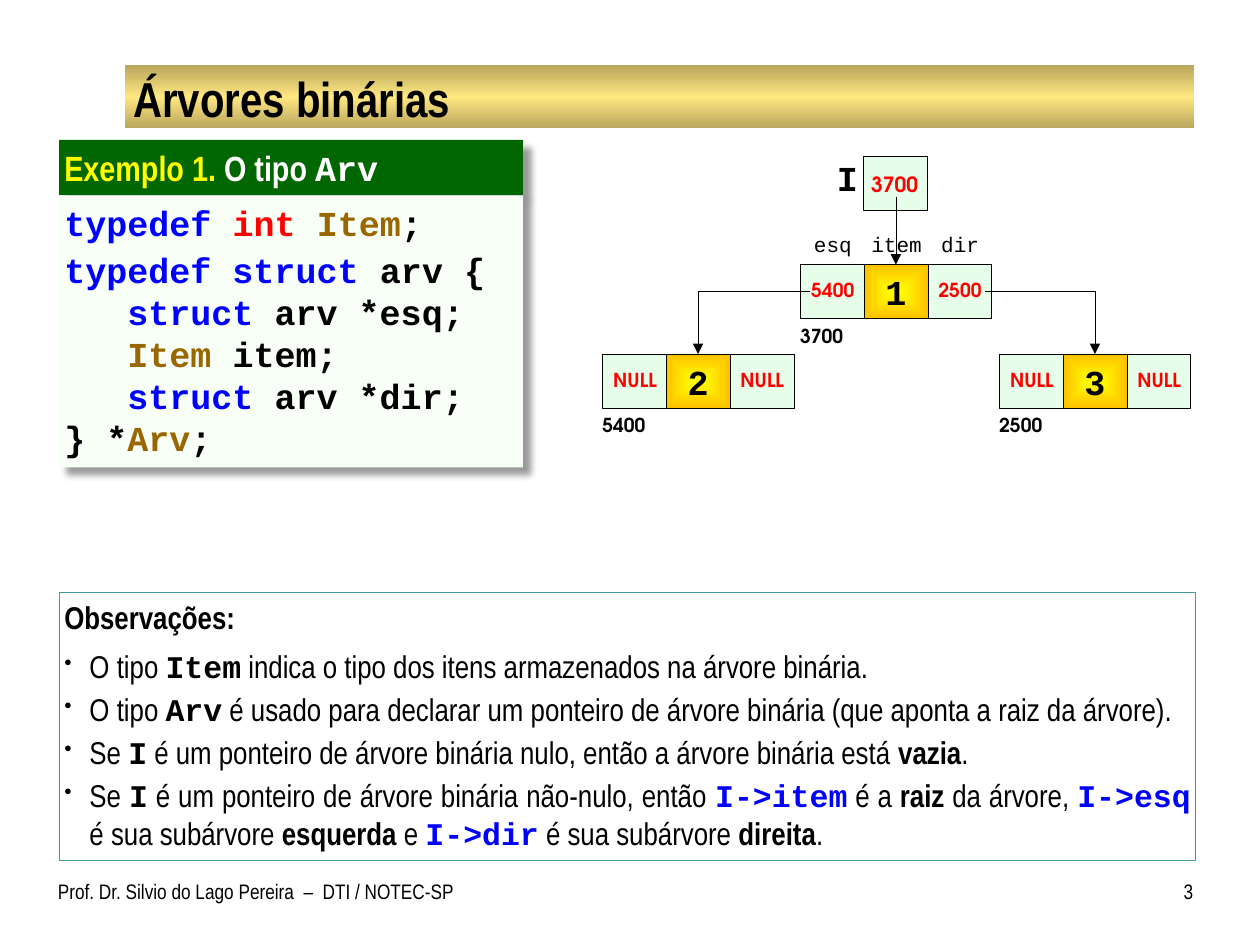
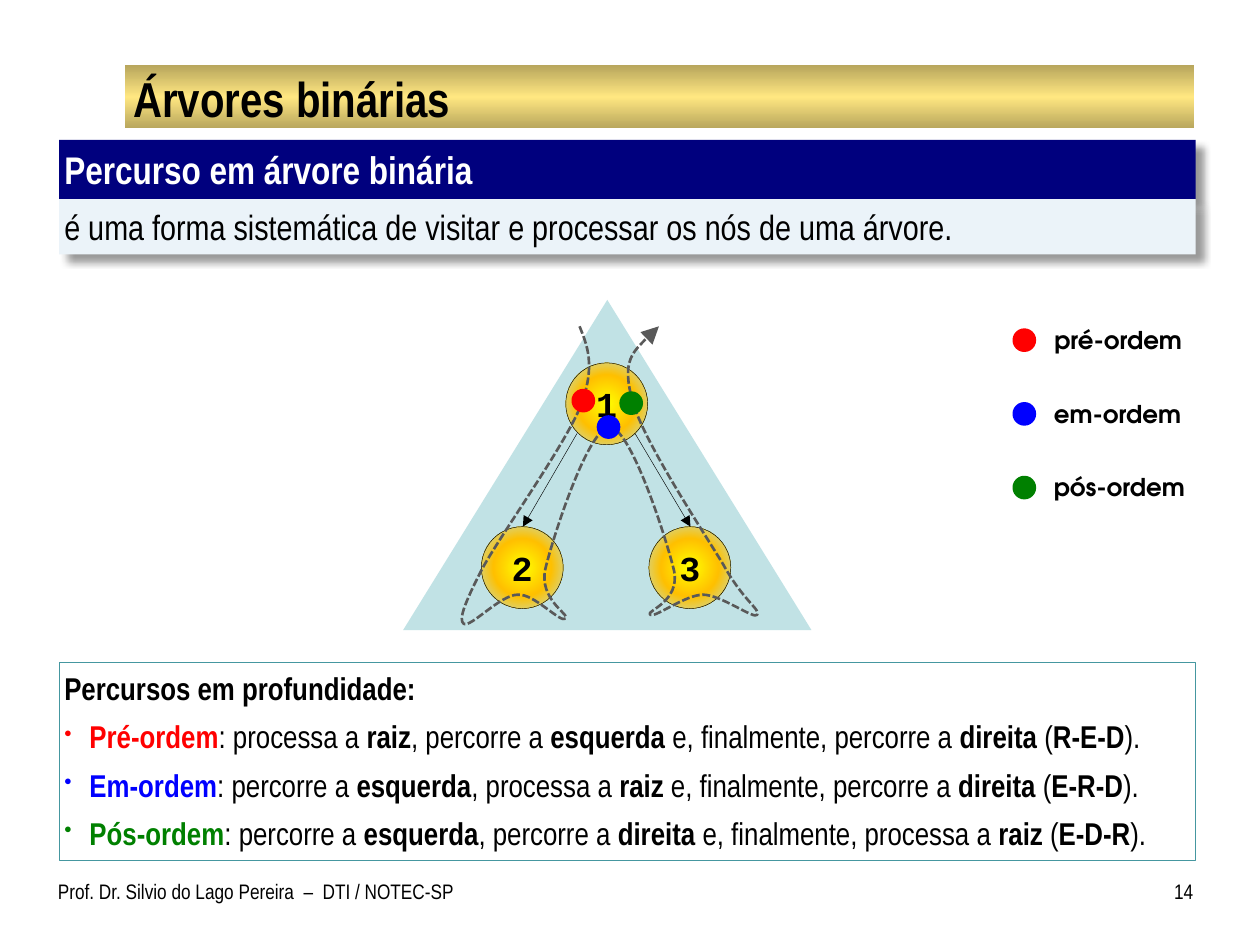
from dataclasses import dataclass
from itertools import cycle

from pptx import Presentation
from pptx.dml.color import RGBColor
from pptx.enum.dml import MSO_LINE
from pptx.enum.shapes import MSO_CONNECTOR, MSO_SHAPE
from pptx.enum.text import MSO_ANCHOR, PP_ALIGN
from pptx.oxml import parse_xml
from pptx.oxml.ns import nsdecls, qn
from pptx.util import Inches, Pt

RECTANGLE, OVAL, TRIANGLE = MSO_SHAPE.RECTANGLE, MSO_SHAPE.OVAL, MSO_SHAPE.ISOSCELES_TRIANGLE
STRAIGHT, ELBOW = MSO_CONNECTOR.STRAIGHT, MSO_CONNECTOR.ELBOW
TOP, MIDDLE = MSO_ANCHOR.TOP, MSO_ANCHOR.MIDDLE
LEFT, CENTER, RIGHT, JUSTIFY = PP_ALIGN.LEFT, PP_ALIGN.CENTER, PP_ALIGN.RIGHT, PP_ALIGN.JUSTIFY
SYS_DASH = MSO_LINE.SQUARE_DOT

BLACK = RGBColor(0x00, 0x00, 0x00)
WHITE = RGBColor(0xFF, 0xFF, 0xFF)
RED = RGBColor(0xFF, 0x00, 0x00)
BLUE = RGBColor(0x00, 0x00, 0xFF)
GREEN = RGBColor(0x00, 0x80, 0x00)
YELLOW = RGBColor(0xFF, 0xFF, 0x00)
BROWN = RGBColor(0x99, 0x66, 0x00)
AMBER = RGBColor(0xFF, 0xC0, 0x00)
GOLD_EDGE = RGBColor(0xB8, 0xA6, 0x5D)
GOLD = RGBColor(0xFF, 0xE7, 0x81)
PALE_TEAL = RGBColor(0xB8, 0xE3, 0xE6)
TRIANGLE_TEAL = RGBColor(0xBB, 0xE0, 0xE3)
FRAME_TEAL = RGBColor(0x45, 0x97, 0xA0)
CODE_HEADER = RGBColor(0x00, 0x66, 0x00)
CODE_FILL = RGBColor(0xF7, 0xFF, 0xF7)
CELL_FILL = RGBColor(0xE6, 0xFE, 0xE9)
NAVY = RGBColor(0x00, 0x00, 0x7E)
DEFINITION_FILL = RGBColor(0xEB, 0xF3, 0xF9)
TRAIL_GREY = RGBColor(0x59, 0x59, 0x59)

NARROW, MONO, ROUND = "Arial Narrow", "Courier New", "TeX Gyre Adventor"
PANEL_INSETS = (0.04, 0.05, 0.04, 0.05)
NO_INSETS = (0, 0, 0, 0)
CELL_PITCH = 0.505
BAND_GRADIENT = ([(0, GOLD_EDGE), (50, GOLD), (100, GOLD_EDGE)], None)
ITEM_GRADIENT = ([(0, YELLOW), (100, AMBER)], "shape")
NODE_GRADIENT = ([(0, YELLOW), (50, AMBER), (100, PALE_TEAL)], "circle")

TRAIL = [
    (1.40, 0.21), (1.46, 0.36), (1.53, 0.52), (1.41, 0.84), (1.28, 1.16), (0.79, 1.84), (0.63, 2.13),
    (0.48, 2.42), (0.44, 2.54), (0.48, 2.57), (0.53, 2.61), (0.77, 2.34), (0.91, 2.34),
    (1.04, 2.33), (1.25, 2.57), (1.29, 2.53), (1.33, 2.50), (1.07, 2.38), (1.13, 2.13),
    (1.19, 1.88), (1.47, 1.01), (1.64, 1.01), (1.81, 1.02), (2.09, 1.90), (2.15, 2.15),
    (2.20, 2.40), (1.92, 2.47), (1.96, 2.50), (1.99, 2.53), (2.24, 2.34), (2.38, 2.34),
    (2.52, 2.34), (2.79, 2.54), (2.81, 2.50), (2.84, 2.46), (2.70, 2.39), (2.54, 2.10),
    (2.37, 1.82), (1.90, 1.11), (1.82, 0.80), (1.73, 0.48), (1.88, 0.35), (2.03, 0.21),
]


@dataclass
class Style:
    """Character format of a run."""
    size: float
    font: str = NARROW
    color: RGBColor = BLACK
    bold: bool = False


@dataclass
class Line:
    """Paragraph made of (text, style) runs."""
    runs: list
    align: PP_ALIGN = LEFT
    before: float = 0
    indent: float = 0
    bullet: bool = False


PLAIN, STRONG = Style(18), Style(18, bold=True)
CODE, CODE_BLUE = Style(18, MONO, bold=True), Style(18, MONO, BLUE, True)
SOURCE, KEYWORD, BASIC_TYPE, USER_TYPE = (Style(20, MONO, color, True) for color in (BLACK, BLUE, RED, BROWN))
FIELD_VALUE = Style(11, ROUND, RED, True)


def write(shape, lines, insets=NO_INSETS, anchor=TOP, wrap=True):
    """Fill a shape with formatted paragraphs."""
    frame = shape.text_frame
    frame.word_wrap, frame.vertical_anchor = wrap, anchor
    frame.margin_left, frame.margin_top, frame.margin_right, frame.margin_bottom = map(Inches, insets)
    for index, line in enumerate(lines):
        paragraph = frame.add_paragraph() if index else frame.paragraphs[0]
        paragraph.alignment, paragraph.space_before = line.align, Pt(line.before)
        properties = paragraph._p.get_or_add_pPr()
        properties.set("marL", str(Inches(line.indent)))
        if line.bullet:
            properties.set("indent", str(-Inches(line.indent)))
            properties.append(parse_xml(f'<a:buSzPct {nsdecls("a")} val="69000"/>'))
            properties.append(parse_xml(f'<a:buChar {nsdecls("a")} char="•"/>'))
        for text, style in line.runs:
            run = paragraph.add_run()
            run.text = text
            run.font.name, run.font.size, run.font.bold = style.font, Pt(style.size), style.bold
            run.font.color.rgb = style.color


def add_text(slide, area, text, style, align=LEFT, **layout):
    """Add a one-line text box."""
    shape = slide.shapes.add_textbox(*map(Inches, area))
    write(shape, [Line([(text, style)], align)], **layout)


def fill_gradient(shape, stops, kind):
    """Apply a vertical gradient, or one that spreads from the centre."""
    marks = "".join(f'<a:gs pos="{place * 1000}"><a:srgbClr val="{color}"/></a:gs>' for place, color in stops)
    center = '<a:fillToRect l="50000" t="50000" r="50000" b="50000"/>'
    direction = f'<a:path path="{kind}">{center}</a:path>' if kind else '<a:lin ang="5400000" scaled="0"/>'
    shape._element.spPr.prstGeom.addnext(parse_xml(
        f'<a:gradFill {nsdecls("a")} rotWithShape="1"><a:gsLst>{marks}</a:gsLst>{direction}</a:gradFill>'))


def add_box(slide, area, fill=None, line=None, width=0.25, kind=RECTANGLE, shadow=False):
    """Add a preset shape with a plain, gradient or empty fill."""
    shape = slide.shapes.add_shape(kind, *map(Inches, area))
    if isinstance(fill, RGBColor):
        shape.fill.solid()
        shape.fill.fore_color.rgb = fill
    elif fill:
        fill_gradient(shape, *fill)
    else:
        shape.fill.background()
    if line is None:
        shape.line.fill.background()
    else:
        shape.line.color.rgb, shape.line.width = line, Pt(width)
    shape.shadow.inherit = False
    if shadow:
        shape._element.spPr.find(qn("a:effectLst")).append(parse_xml(
            f'<a:outerShdw {nsdecls("a")} blurRad="{Pt(4)}" dist="{Pt(6)}" dir="2700000" algn="tl" '
            'rotWithShape="0"><a:srgbClr val="000000"><a:alpha val="40000"/></a:srgbClr></a:outerShdw>'))
    return shape


def add_arrowhead(shape, size="med"):
    """End an outline with a triangle."""
    shape.line._get_or_add_ln().append(parse_xml(
        f'<a:tailEnd {nsdecls("a")} type="triangle" w="{size}" len="{size}"/>'))


def add_arrow(slide, start, end, kind=STRAIGHT):
    """Add a thin arrow, straight or with one bend."""
    arrow = slide.shapes.add_connector(kind, *map(Inches, (*start, *end)))
    arrow.line.color.rgb, arrow.line.width = BLACK, Pt(0.25)
    add_arrowhead(arrow)
    properties = arrow._element.spPr
    if kind == ELBOW:
        properties.prstGeom.set("prst", "bentConnector2")
    properties.append(parse_xml(f'<a:effectLst {nsdecls("a")}/>'))


def add_slide(presentation, number):
    """Add a slide with the title band and footer."""
    slide = presentation.slides.add_slide(presentation.slide_layouts[6])
    add_box(slide, (0.99, 0.52, 8.49, 0.5), BAND_GRADIENT)
    add_text(slide, (1, 0.54, 8.47, 0.47), "Árvores binárias", Style(28, bold=True),
             insets=(0.06, 0.01, 0.06, 0.01), anchor=MIDDLE)
    add_text(slide, (0.46, 6.92, 3.27, 0.42), "Prof. Dr. Silvio do Lago Pereira  –  DTI / NOTEC-SP",
             Style(12), insets=(0, 0.05, 0.1, 0.05))
    add_text(slide, (9.08, 6.92, 0.39, 0.42), str(number), Style(12), RIGHT, insets=(0.1, 0.05, 0, 0.05))
    return slide


def add_panel(slide, area, header_height, colors, header, body):
    """Add a shadowed header with a body under it."""
    left, top, width, height = area
    parts = ((top, header_height, header), (top + header_height, height - header_height, body))
    for (part_top, part_height, lines), color in zip(parts, colors):
        shape = add_box(slide, (left, part_top, width, part_height), color, shadow=True)
        write(shape, lines, PANEL_INSETS)


def add_notes_box(slide, area, heading, bullets, gaps):
    """Add a framed heading with bullets."""
    lines = [Line([(heading, STRONG)], JUSTIFY)]
    lines += [Line(runs, JUSTIFY, gap, 0.2, True) for runs, gap in zip(bullets, gaps)]
    write(slide.shapes.add_textbox(*map(Inches, area)), lines, PANEL_INSETS)
    add_box(slide, area, line=FRAME_TEAL, width=0.75)


def add_record(slide, left, top, item, values, address):
    """Add a tree record of left pointer, item and right pointer."""
    cells = [(left + column * CELL_PITCH, top, 0.51, 0.43) for column in range(3)]
    for cell, value in zip(cells[::2], values):
        add_box(slide, cell, CELL_FILL, BLACK)
        label = add_box(slide, (cell[0] + 0.07, top + 0.11, 0.38, 0.19), CELL_FILL)
        write(label, [Line([(value, FIELD_VALUE)], CENTER)], (0.02, 0, 0.02, 0), wrap=False)
    write(add_box(slide, cells[1], ITEM_GRADIENT, BLACK), [Line([(item, SOURCE)], CENTER)], anchor=MIDDLE)
    add_text(slide, (left, top + 0.45, 0.52, 0.26), address, Style(11, ROUND, bold=True),
             insets=(0, 0.02, 0, 0.03))


def add_memory_diagram(slide, left, top):
    """Draw the root pointer and three linked records."""
    add_text(slide, (left + 1.86, top, 0.17, 0.43), "I", SOURCE, CENTER, wrap=False)
    add_box(slide, (left + 2.07, top, 0.51, 0.43), CELL_FILL, BLACK)
    add_text(slide, (left + 2.13, top + 0.12, 0.4, 0.2), "3700", Style(12, ROUND, RED, True), CENTER,
             insets=(0, 0, 0.02, 0), wrap=False)
    for column, field in enumerate(("esq", "item", "dir")):
        add_text(slide, (left + 1.57 + column * CELL_PITCH, top + 0.6, 0.52, 0.26), field, Style(12, MONO), CENTER)
    add_record(slide, left + 1.57, top + 0.86, "1", ("5400", "2500"), "3700")
    add_record(slide, left, top + 1.57, "2", ("NULL", "NULL"), "5400")
    add_record(slide, left + 3.15, top + 1.57, "3", ("NULL", "NULL"), "2500")
    add_arrow(slide, (left + 2.33, top + 0.32), (left + 2.33, top + 0.86))
    add_arrow(slide, (left + 3.04, top + 1.07), (left + 3.91, top + 1.57), ELBOW)
    add_arrow(slide, (left + 1.65, top + 1.07), (left + 0.76, top + 1.57), ELBOW)


def add_dot(slide, left, top, color):
    """Add a visit mark."""
    add_box(slide, (left, top, 0.16, 0.16), color, color, 2, OVAL)


def add_trail(slide, left, top):
    """Draw the dashed walk around the tree as cubic curves."""
    start, *points = [(Inches(left + x), Inches(top + y)) for x, y in TRAIL]
    builder = slide.shapes.build_freeform(*start)
    builder.add_line_segments(points, close=False)
    trail = builder.convert_to_shape()
    segments = list(trail._element.iter(qn("a:lnTo")))
    for index in range(0, len(segments), 3):
        curve = parse_xml(f'<a:cubicBezTo {nsdecls("a")}/>')
        segments[index].addprevious(curve)
        for segment in segments[index:index + 3]:
            curve.append(segment[0])
            segment.getparent().remove(segment)
    trail.fill.background()
    trail.line.color.rgb, trail.line.width, trail.line.dash_style = TRAIL_GREY, Pt(1.5), SYS_DASH
    add_arrowhead(trail, "lg")
    trail.shadow.inherit = False


def add_traversal_tree(slide, left, top):
    """Draw the tree, the walk around it and the visit marks."""
    triangle = add_box(slide, (left, top, 3.24, 2.62), TRIANGLE_TEAL, kind=TRIANGLE)
    color = next(triangle._element.spPr.iter(qn("a:srgbClr")))
    color.append(parse_xml(f'<a:alpha {nsdecls("a")} val="91000"/>'))
    for number, x, y in (("3", 1.95, 1.8), ("2", 0.62, 1.8), ("1", 1.29, 0.5)):
        node = add_box(slide, (left + x, top + y, 0.65, 0.65), NODE_GRADIENT, BLACK, kind=OVAL)
        write(node, [Line([(number, SOURCE)], CENTER)], anchor=MIDDLE)
    for start, end in ((1.84, 2.28), (1.38, 0.95)):
        add_arrow(slide, (left + start, top + 1.06), (left + end, top + 1.8))
    add_trail(slide, left, top)
    for x, y, dot_color in ((1.35, 0.72, RED), (1.73, 0.74, GREEN), (1.55, 0.93, BLUE)):
        add_dot(slide, left + x, top + y, dot_color)


def add_legend(slide, left, top):
    """List the colour of each visiting order."""
    entries = (("pré-ordem", 1.05, RED), ("em-ordem", 1.04, BLUE), ("pós-ordem", 1.07, GREEN))
    for row, (name, width, color) in enumerate(entries):
        row_top = top + row * 0.585
        add_dot(slide, left, row_top + 0.04, color)
        add_text(slide, (left + 0.31, row_top, width, 0.24), name, Style(14, ROUND, bold=True), CENTER,
                 insets=(0, 0, 0.02, 0), wrap=False)


def alternate(*texts, strong=STRONG):
    """Pair texts with plain and strong styles in turn."""
    return list(zip(texts, cycle((PLAIN, strong))))


def build_type_slide(presentation):
    """Build the slide on the Arv type."""
    slide = add_slide(presentation, 3)
    header = [Line([("Exemplo 1.", Style(20, color=YELLOW, bold=True)), (" O tipo ", Style(20, color=WHITE, bold=True)),
                    ("Arv", Style(20, MONO, WHITE, True))])]
    body = [
        Line([("typedef ", KEYWORD), ("int ", BASIC_TYPE), ("Item", USER_TYPE), (";", SOURCE)]),
        Line([("typedef struct ", KEYWORD), ("arv {", SOURCE)], before=3),
        Line([("struct ", KEYWORD), ("arv *esq;", SOURCE)], indent=0.5),
        Line([("Item ", USER_TYPE), ("item;", SOURCE)], indent=0.5),
        Line([("struct ", KEYWORD), ("arv *dir;", SOURCE)], indent=0.5),
        Line([("} *", SOURCE), ("Arv", USER_TYPE), (";", SOURCE)]),
    ]
    add_panel(slide, (0.47, 1.11, 3.68, 2.6), 0.44, (CODE_HEADER, CODE_FILL), header, body)
    bullets = [
        alternate("O tipo ", "Item", " indica o tipo dos itens armazenados na árvore binária.", strong=CODE),
        alternate("O tipo ", "Arv", " é usado para declarar um ponteiro de árvore binária (que aponta a raiz da árvore).",
                  strong=CODE),
        alternate("Se ", "I", strong=CODE)
        + alternate(" é um ponteiro de árvore binária nulo, então a árvore binária está ", "vazia", "."),
        alternate("Se ", "I", strong=CODE)
        + alternate(" é um ponteiro de árvore binária não-nulo, então ", "I->item", strong=CODE_BLUE)
        + alternate(" é a ", "raiz") + alternate(" da árvore, ", "I->esq", strong=CODE_BLUE)
        + alternate(" é sua subárvore ", "esquerda") + alternate(" e ", "I->dir", strong=CODE_BLUE)
        + alternate(" é sua subárvore ", "direita", "."),
    ]
    add_notes_box(slide, (0.47, 4.7, 9.02, 2.13), "Observações:", bullets, (6, 3, 3, 3))
    add_memory_diagram(slide, 4.78, 1.24)


def build_traversal_slide(presentation):
    """Build the slide on depth-first traversals."""
    slide = add_slide(presentation, 14)
    header = [Line([("Percurso em árvore binária", Style(22, color=WHITE, bold=True))])]
    body = [Line([("é uma forma sistemática de visitar e processar os nós de uma árvore.", Style(20))], JUSTIFY)]
    add_panel(slide, (0.47, 1.11, 9.02, 0.91), 0.47, (NAVY, DEFINITION_FILL), header, body)
    orders = (("Pré-ordem", RED, ("raiz", "esquerda", "direita")), ("Em-ordem", BLUE, ("esquerda", "raiz", "direita")),
              ("Pós-ordem", GREEN, ("esquerda", "direita", "raiz")))
    bullets = []
    for name, color, steps in orders:
        verbs = ["processa a " if step == "raiz" else "percorre a " for step in steps]
        pieces = [text for lead, verb, step in zip((": ", ", ", " e, finalmente, "), verbs, steps)
                  for text in (lead + verb, step)]
        initials = "-".join(step[0].upper() for step in steps)
        bullets.append([(name, Style(18, color=color, bold=True))] + alternate(*pieces, " (", initials, ")."))
    add_notes_box(slide, (0.47, 5.26, 9.02, 1.57), "Percursos em profundidade:", bullets, (6, 6, 6))
    add_traversal_tree(slide, 3.2, 2.38)
    add_legend(slide, 8.05, 2.58)


def main():
    """Build and save the presentation."""
    presentation = Presentation()
    presentation.slide_width, presentation.slide_height = Inches(10), Inches(7.5)
    build_type_slide(presentation)
    build_traversal_slide(presentation)
    presentation.save("out.pptx")


if __name__ == "__main__":
    main()
